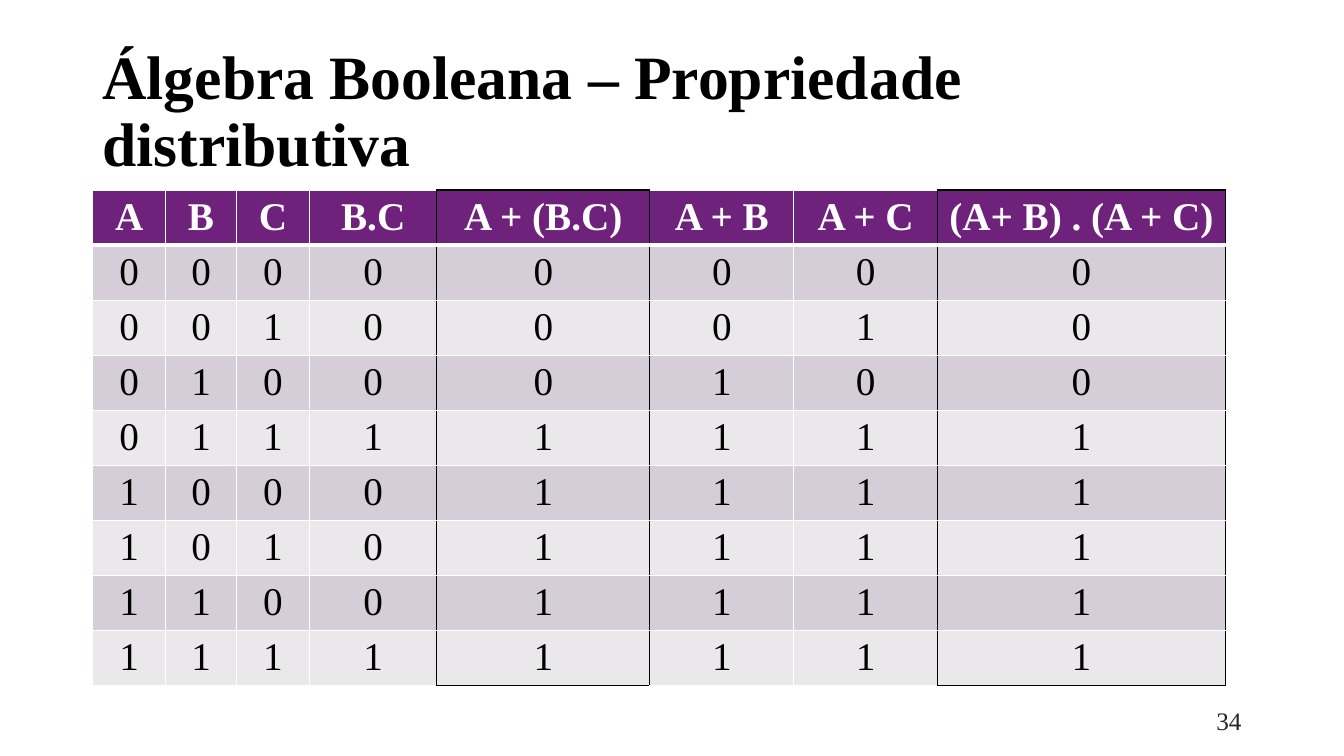
from dataclasses import dataclass
from itertools import product

from lxml.etree import SubElement as Sub
from pptx import Presentation
from pptx.dml.color import RGBColor as Rgb
from pptx.enum.text import MSO_ANCHOR as Anchor, MSO_AUTO_SIZE as Auto, PP_ALIGN as Align
from pptx.oxml.ns import qn
from pptx.util import Pt

PX = 9525  # EMU in one px


@dataclass(frozen=True)
class Theme:
    font: str = "Times New Roman"
    ink: str = "000000"
    paper: str = "FFFFFF"
    head: str = "6F227C"
    bands: tuple = ("D5CDD7", "EBE8EC")
    soft: str = "262626"
    title: int = 44
    cell: int = 28
    small: int = 18


THEME = Theme()
TITLE = "Álgebra Booleana – Propriedade distributiva"
HEADS = ["A", "B", "C", "B.C", "A + (B.C)", "A + B", "A + C", "(A+ B) . (A + C)"]
WIDTHS = [70, 67, 70, 121, 203, 137, 137, 274]
BOXED = {4, 7}  # the two equal columns


def scale(box):
    return [n * PX for n in box]


def write(frame, text, size, color, align, bold=False, **extra):
    frame.text = text
    para = frame.paragraphs[0]
    for key, val in {"alignment": align, **extra}.items():
        setattr(para, key, val)
    font = para.runs[0].font
    for key, val in {"name": THEME.font, "size": Pt(size), "bold": bold}.items():
        setattr(font, key, val)
    font.color.rgb = Rgb.from_string(color)


def place(frame, **more):
    form = {"word_wrap": True, "auto_size": Auto.NONE, "vertical_anchor": Anchor.MIDDLE}
    for key, val in {**form, **more}.items():
        setattr(frame, key, val)


def border(cell, side, color, width):
    line = Sub(cell._tc.get_or_add_tcPr(), qn(f"a:ln{side}"), w=str(Pt(width)))
    Sub(Sub(line, qn("a:solidFill")), qn("a:srgbClr"), val=color)


def edges(cell, row, col, last):
    # Dark lines frame each boxed column, white lines part the rest
    dark = {
        "L": bool({col, col - 1} & BOXED),
        "R": bool({col, col + 1} & BOXED),
        "T": row == 0 and col in BOXED,
        "B": row == last and col in BOXED,
    }
    for side, on in dark.items():
        thick = (row, side) in {(0, "B"), (1, "T")}
        border(cell, side, THEME.ink if on else THEME.paper, 3 if thick else 1)


def truth():
    for a, b, c in product((0, 1), repeat=3):
        yield [a, b, c, b & c, a | b & c, a | b, a | c, (a | b) & (a | c)]


def add_title(slide, box):
    shape = slide.shapes.title
    shape.left, shape.top, shape.width, shape.height = scale(box)
    place(shape.text_frame)
    write(shape.text_frame, TITLE, THEME.title, THEME.ink, Align.LEFT, True, line_spacing=0.9)


def add_grid(slide, box):
    rows = [HEADS, *truth()]
    table = slide.shapes.add_table(len(rows), len(HEADS), *scale(box)).table
    for col, width in zip(table.columns, WIDTHS):
        col.width = width * PX
    for r, row in enumerate(rows):
        table.rows[r].height = box[3] * PX // len(rows)
        top = r == 0
        for c, val in enumerate(row):
            cell = table.cell(r, c)
            edges(cell, r, c, len(rows) - 1)
            cell.fill.solid()
            cell.fill.fore_color.rgb = Rgb.from_string(
                THEME.head if top else THEME.bands[(r - 1) % 2])
            write(cell.text_frame, str(val), THEME.cell,
                  THEME.paper if top else THEME.ink, Align.CENTER, top)


def add_number(slide, box):
    frame = slide.shapes.add_textbox(*scale(box)).text_frame
    place(frame)
    write(frame, "34", THEME.small, THEME.soft, Align.RIGHT)


def main():
    deck = Presentation()
    deck.slide_width, deck.slide_height = scale((1280, 720))
    slide = deck.slides.add_slide(deck.slide_layouts[5])
    add_title(slide, (88, 38, 1104, 139))
    add_grid(slide, (88, 181, sum(WIDTHS), 472))
    add_number(slide, (904, 667, 288, 38))
    deck.save("out.pptx")


if __name__ == "__main__":
    main()
